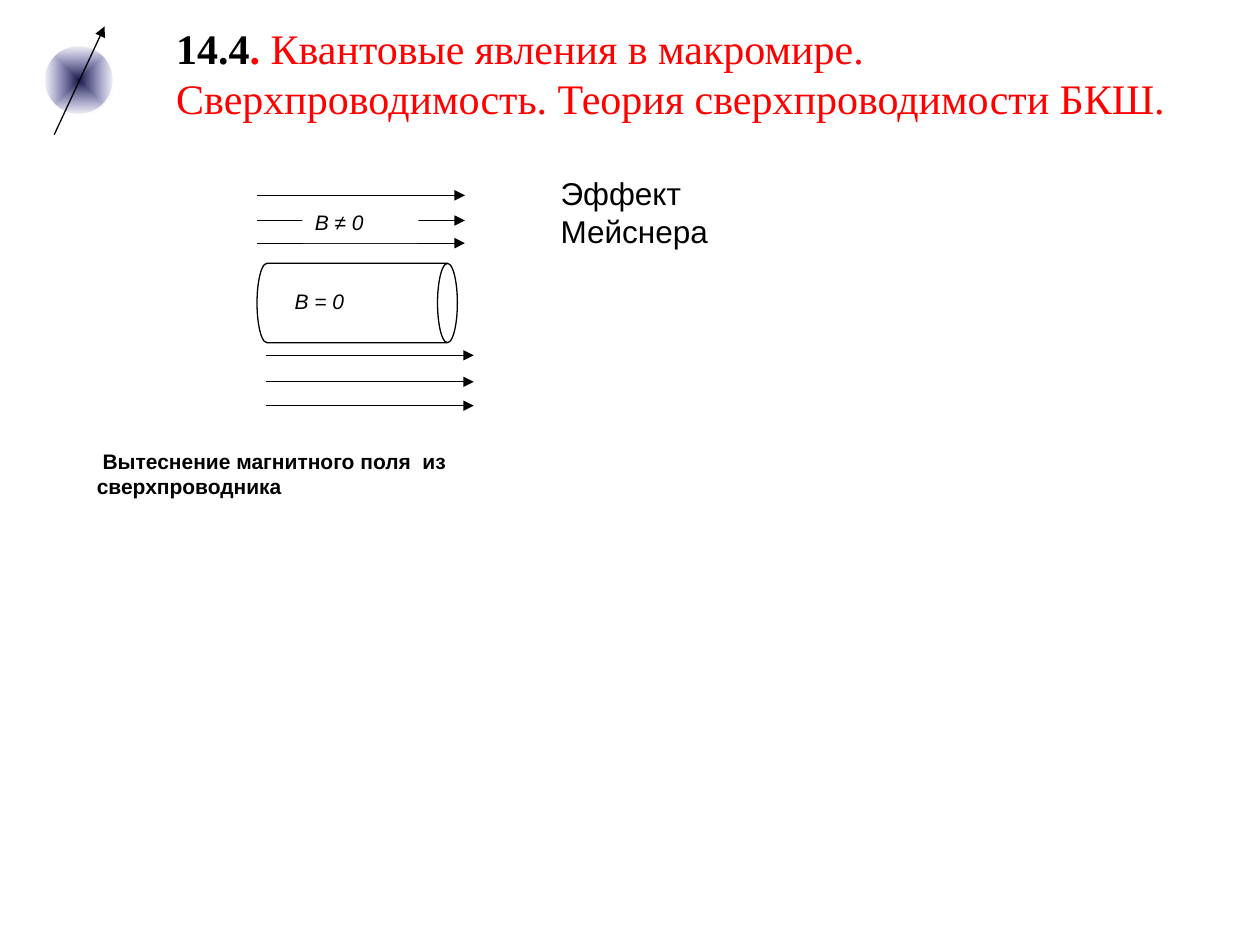
"""Builds the slide on superconductivity and the Meissner effect."""
from lxml import etree
from pptx import Presentation
from pptx.dml.color import RGBColor
from pptx.enum.shapes import MSO_CONNECTOR, MSO_SHAPE
from pptx.enum.text import MSO_ANCHOR, PP_ALIGN
from pptx.oxml import parse_xml
from pptx.oxml.ns import nsdecls, qn
from pptx.util import Inches, Pt

STRAIGHT = MSO_CONNECTOR.STRAIGHT
CAN, OVAL, RECTANGLE = MSO_SHAPE.CAN, MSO_SHAPE.OVAL, MSO_SHAPE.RECTANGLE
TOP, LEFT = MSO_ANCHOR.TOP, PP_ALIGN.LEFT
BLACK = RGBColor(0x00, 0x00, 0x00)
WHITE = RGBColor(0xFF, 0xFF, 0xFF)
RED = RGBColor(0xFF, 0x00, 0x00)
LINE_WIDTH = Pt(0.75)


def write(shape, *texts, size=12, font="Arial", color=BLACK, bold=False, italic=False):
    frame = shape.text_frame
    frame.word_wrap = True
    frame.vertical_anchor = TOP
    paragraph = frame.paragraphs[0]
    paragraph.alignment = LEFT
    for text in texts:
        run = paragraph.add_run()
        run.text = text
        run.font.size = Pt(size)
        run.font.name = font
        run.font.color.rgb = color
        run.font.bold = bold
        run.font.italic = italic


def add_arrow(shapes, x1, y1, x2, y2):
    arrow = shapes.add_connector(STRAIGHT, Inches(x1), Inches(y1), Inches(x2), Inches(y2))
    arrow.line.color.rgb = BLACK
    arrow.line.width = LINE_WIDTH
    etree.SubElement(arrow.line._get_or_add_ln(), qn("a:tailEnd"), type="triangle")
    etree.SubElement(arrow._element.spPr, qn("a:effectLst"))


prs = Presentation()
prs.slide_width = Inches(10)
prs.slide_height = Inches(7.5)
slide = prs.slides.add_slide(prs.slide_layouts[6])

field = slide.shapes.add_group_shape().shapes
superconductor = field.add_shape(CAN, Inches(2.52), Inches(1.61), Inches(0.63), Inches(1.59))
superconductor.rotation = 90
superconductor.shadow.inherit = False
superconductor.fill.solid()
superconductor.fill.fore_color.rgb = WHITE
superconductor.line.color.rgb = BLACK
superconductor.line.width = LINE_WIDTH

inside = field.add_shape(RECTANGLE, Inches(2.24), Inches(2.24), Inches(0.92), Inches(0.36))
write(inside, "B = 0", italic=True)

for start, levels in ((2.04, (1.93, 1.75, 1.55)), (2.11, (2.82, 3.03, 3.22))):
    for level in levels:
        add_arrow(field, start, level, start + 1.65, level)

outside = field.add_shape(RECTANGLE, Inches(2.4), Inches(1.61), Inches(0.92), Inches(0.32))
write(outside, "B ≠ 0", italic=True)

caption = slide.shapes.add_shape(RECTANGLE, Inches(0.67), Inches(3.51), Inches(4.17), Inches(0.58))
write(caption, " Вытеснение магнитного поля  из сверхпроводника", bold=True)
caption.text_frame.margin_right = Inches(0.6)

for label in (inside, outside, caption):
    label.shadow.inherit = False
    label.fill.solid()
    label.fill.fore_color.rgb = WHITE
    label.line.fill.background()

title = slide.shapes.add_textbox(Inches(1.3), Inches(0.13), Inches(8.19), Inches(0.9))
write(title, "14.4", size=24, font="Times New Roman", bold=True)
write(title, ".", size=24, font="Times New Roman", color=RED, bold=True)
write(title, " Квантовые явления в макромире. Сверхпроводимость. Теория сверхпроводимости БКШ.",
      size=24, font="Times New Roman", color=RED)

emblem = slide.shapes.add_group_shape().shapes
particle = emblem.add_shape(OVAL, Inches(0.35), Inches(0.36), Inches(0.55), Inches(0.55))
particle.shadow.inherit = False
particle.line.color.rgb = WHITE
particle.line.width = LINE_WIDTH
particle._element.spPr.find(qn("a:prstGeom")).addnext(parse_xml(
    f'<a:gradFill {nsdecls("a")} rotWithShape="1"><a:gsLst>'
    '<a:gs pos="0"><a:srgbClr val="181847"/></a:gs>'
    '<a:gs pos="100000"><a:srgbClr val="333399"><a:alpha val="5000"/></a:srgbClr></a:gs>'
    '</a:gsLst><a:path path="rect">'
    '<a:fillToRect l="50000" t="50000" r="50000" b="50000"/></a:path></a:gradFill>'))
add_arrow(emblem, 0.43, 1.07, 0.83, 0.21)

effect = slide.shapes.add_textbox(Inches(4.35), Inches(1.33), Inches(2.39), Inches(0.4))
write(effect, "Эффект Мейснера", size=18)
effect.text_frame.margin_right = Inches(0.9)

prs.save("out.pptx")
